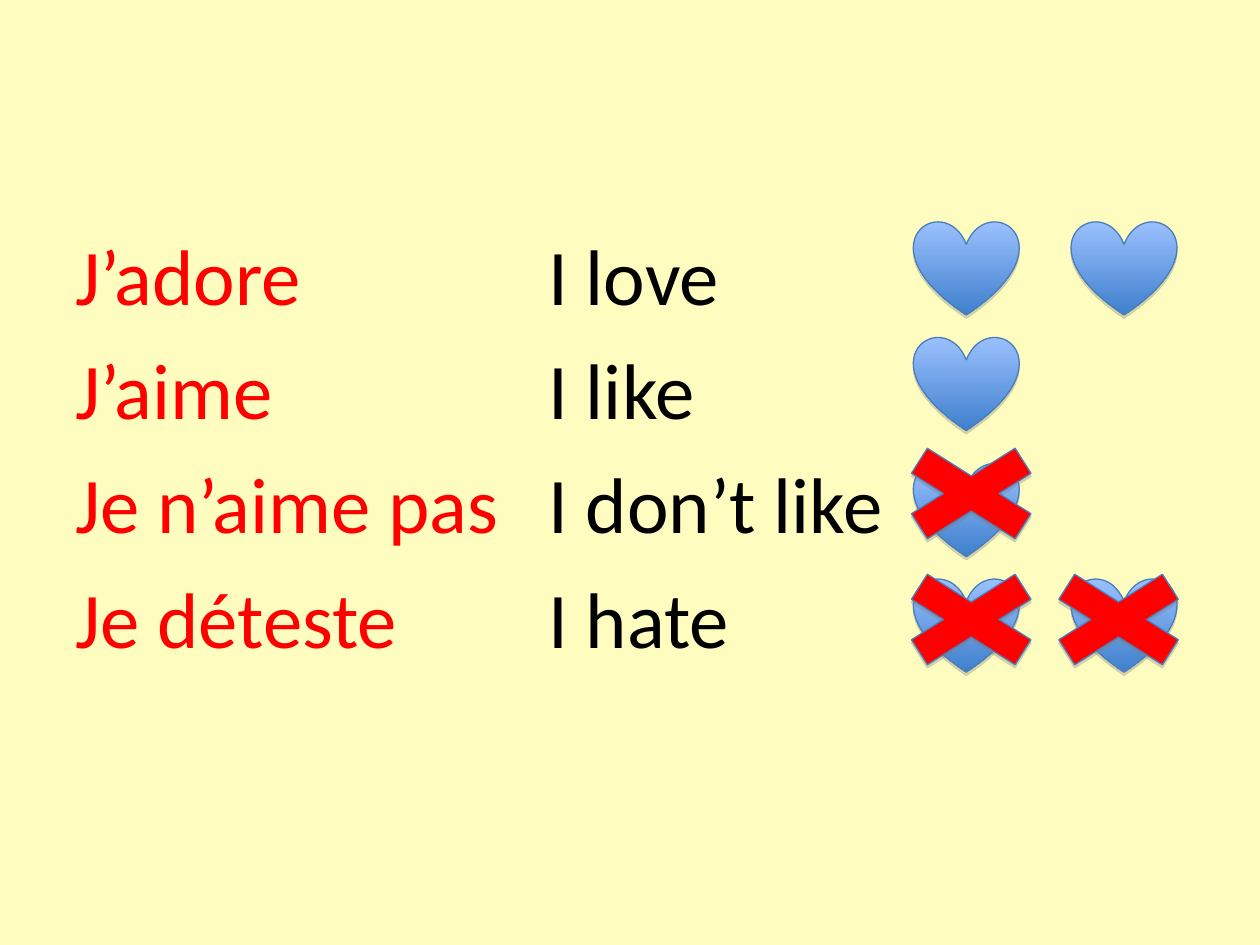
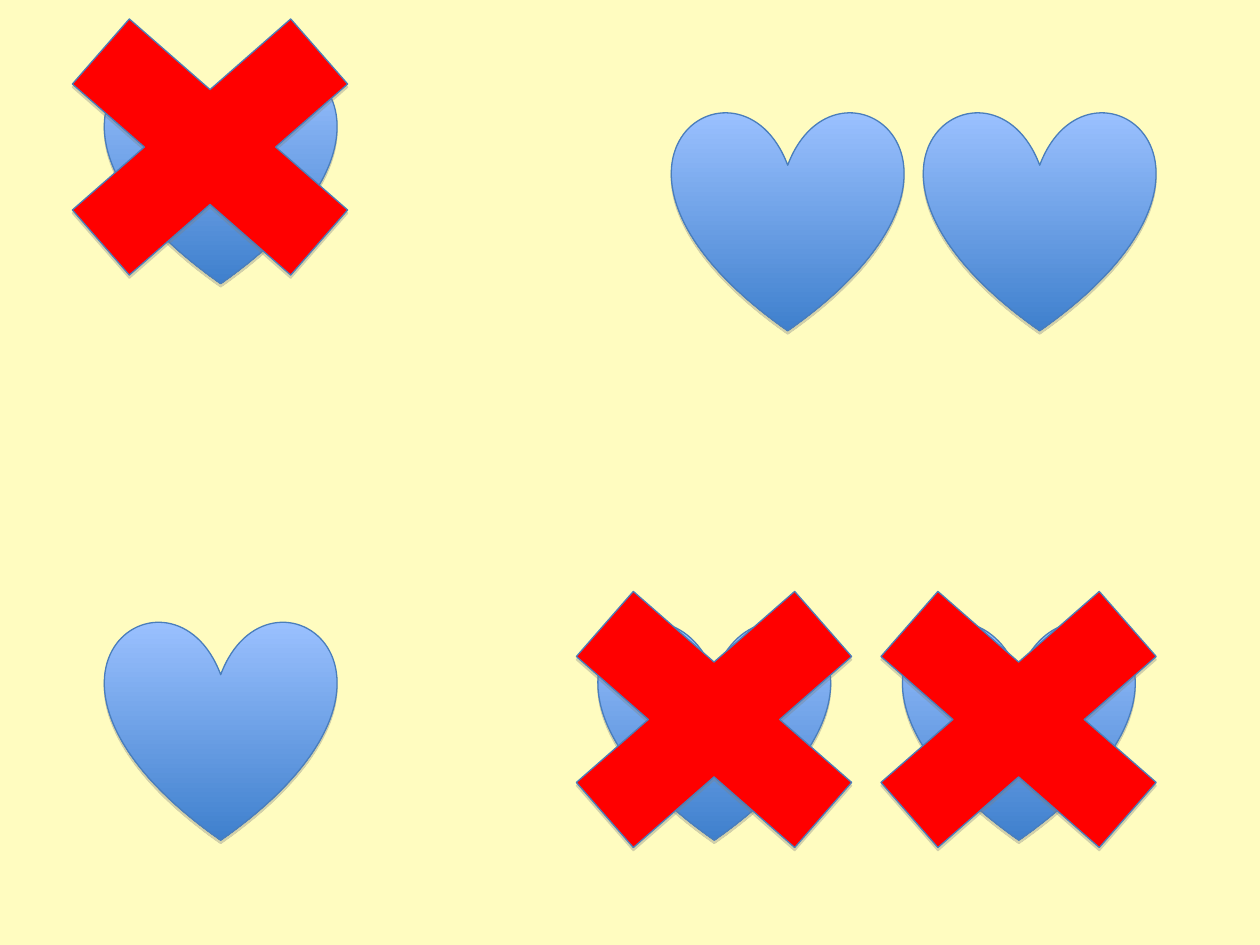
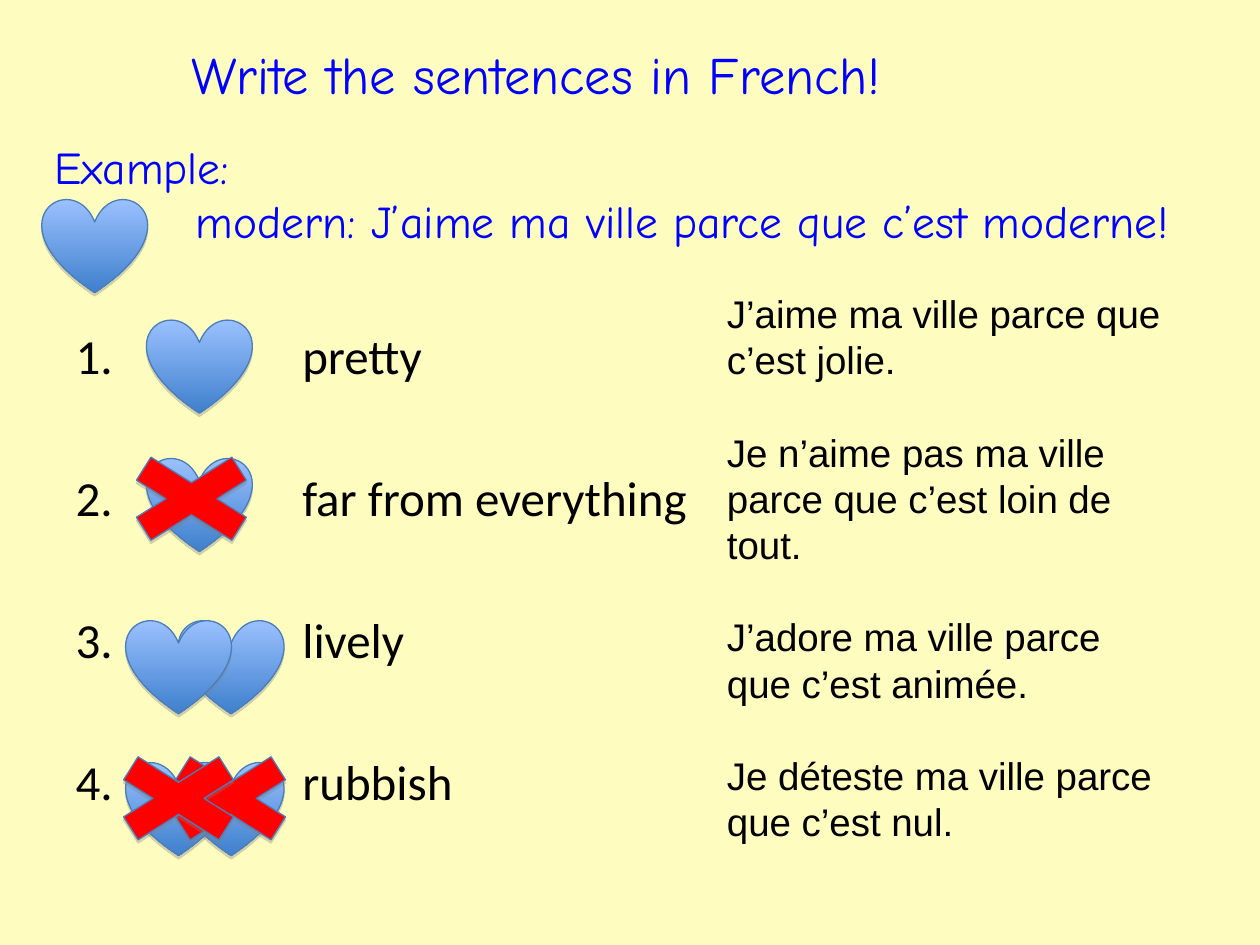
from dataclasses import dataclass

from lxml import etree
from pptx import Presentation
from pptx.dml.color import RGBColor
from pptx.enum.shapes import MSO_SHAPE
from pptx.enum.text import MSO_ANCHOR, MSO_AUTO_SIZE, PP_ALIGN
from pptx.oxml.ns import qn
from pptx.util import Cm, Pt

HEART = MSO_SHAPE.HEART
CROSS = MSO_SHAPE.MATH_MULTIPLY
TOP = MSO_ANCHOR.TOP
NO_AUTOFIT = MSO_AUTO_SIZE.NONE
LEFT = PP_ALIGN.LEFT
TWO_CONTENT, BLANK = 3, 6


@dataclass(frozen=True)
class Style:
    font: str
    size: float
    color: str


@dataclass(frozen=True)
class Theme:
    background: str = "FFFCC0"
    heart_top: str = "9BC1FF"
    heart_bottom: str = "3F80CD"
    cross: str = "FF0000"
    outline: str = "4A7EBB"
    shadow: str = "808080"
    leading: float = 1.2
    french: Style = Style("Calibri", 45, "FF0000")
    english: Style = Style("Calibri", 45, "000000")
    heading: Style = Style("Comic Neue", 30, "0000FF")
    example: Style = Style("Comic Neue", 26, "0000FF")
    prompt: Style = Style("Calibri", 28, "000000")
    answer: Style = Style("Arial", 22, "000000")


THEME = Theme()


def rgb(color):
    return RGBColor.from_string(color)


def write(shape, box, lines, style, gap=0, hanging=None):
    """Fill a text shape; a hanging indent in cm makes a numbered list."""
    shape.left, shape.top, shape.width, shape.height = (Cm(v) for v in box)
    frame = shape.text_frame
    frame.text = "\n".join(lines)
    frame.word_wrap = True
    frame.auto_size = NO_AUTOFIT
    frame.vertical_anchor = TOP
    for index, paragraph in enumerate(frame.paragraphs):
        props = paragraph._p.get_or_add_pPr()
        indent = Cm(hanging or 0)
        props.set("marL", str(indent))
        props.set("indent", str(-indent))
        if hanging:
            etree.SubElement(props, qn("a:buFont"), typeface=style.font)
            etree.SubElement(props, qn("a:buAutoNum"), type="arabicPeriod")
        else:
            etree.SubElement(props, qn("a:buNone"))
        paragraph.alignment = LEFT
        paragraph.line_spacing = Pt(style.size * THEME.leading)
        paragraph.space_before = Pt(gap if index else 0)
        for run in paragraph.runs:
            run.font.name = style.font
            run.font.size = Pt(style.size)
            run.font.color.rgb = rgb(style.color)


def add_symbol(shapes, kind, left, top, size):
    symbol = shapes.add_shape(kind, Cm(left), Cm(top), *(Cm(v) for v in size))
    if kind == HEART:
        symbol.fill.gradient()
        symbol.fill.gradient_angle = 270
        for stop, color in zip(symbol.fill.gradient_stops,
                               (THEME.heart_top, THEME.heart_bottom)):
            stop.color.rgb = rgb(color)
    else:
        symbol.fill.solid()
        symbol.fill.fore_color.rgb = rgb(THEME.cross)
    symbol.line.color.rgb = rgb(THEME.outline)
    symbol.line.width = Pt(0.75)
    symbol.shadow.inherit = False
    effects = symbol._element.spPr.find(qn("a:effectLst"))
    shadow = etree.SubElement(effects, qn("a:outerShdw"), dist=str(Pt(1.8)),
                              dir="5400000", rotWithShape="0")
    color = etree.SubElement(shadow, qn("a:srgbClr"), val=THEME.shadow)
    etree.SubElement(color, qn("a:alpha"), val="35000")


def add_feelings(shapes, origin, hearts, crosses, heart_size, cross_size):
    """Draw hearts, then the crosses over them, at offsets from origin."""
    for kind, offsets, size in ((HEART, hearts, heart_size),
                                (CROSS, crosses, cross_size)):
        for x, y in offsets:
            add_symbol(shapes, kind, origin[0] + x, origin[1] + y, size)


SMALL_HEART = (2.12, 1.9)
LARGE_HEART = (4.66, 4.45)
LARGE_CROSS = (8.47, 7.41)


def vocabulary_slide(prs):
    slide = prs.slides.add_slide(prs.slide_layouts[TWO_CONTENT])
    title, french, english = slide.placeholders
    title._element.getparent().remove(title._element)
    top = 4.45
    write(french, (1.27, top, 10.16, 12.57),
          ["J’adore", "J’aime", "Je n’aime pas", "Je déteste"], THEME.french, gap=11.2)
    write(english, (10.8, top, 7.62, 9.09),
          ["I love", "I like", "I don’t like", "I hate"], THEME.english, gap=11.2)
    love, like, dislike, hate = 0, 2.33, 4.87, 7.2
    second = 3.18
    add_feelings(slide.shapes, (18.42, top),
                 [(0, love), (second, love), (0, like), (0, dislike),
                  (0, hate), (second, hate)],
                 [(-0.85, 6.77), (2.12, 6.77), (-0.85, 4.23)],
                 SMALL_HEART, (4.02, 2.54))


def symbols_slide(prs):
    slide = prs.slides.add_slide(prs.slide_layouts[BLANK])
    dislike = ((2.12, 1.27), [(0, 0)], [(-2.12, -2.01)])
    hate = ((12.07, 12.49), [(0, 0), (6.14, 0)], [(-1.91, -1.69), (4.23, -1.69)])
    love = ((13.55, 2.22), [(0, 0), (5.08, 0)], [])
    for feeling in (dislike, hate, love):
        add_feelings(slide.shapes.add_group_shape().shapes, *feeling,
                     LARGE_HEART, LARGE_CROSS)
    add_symbol(slide.shapes, HEART, 2.12, 12.49, LARGE_HEART)


def add_example(slide, left, top):
    write(slide.shapes.add_textbox(0, 0, 0, 0), (left, top, 24.2, 2.46),
          ["Example:", "modern: J’aime ma ville parce que c’est moderne!"],
          THEME.example)
    sentence = slide.shapes[-1].text_frame.paragraphs[1]
    props = sentence._p.get_or_add_pPr()
    props.set("marL", str(Cm(2.85)))
    add_symbol(slide.shapes, HEART, left, top + 1.33, SMALL_HEART)


def exercise_slide(prs):
    slide = prs.slides.add_slide(prs.slide_layouts[TWO_CONTENT])
    title, prompts, answers = slide.placeholders
    write(title, (3.6, 0.71, 17.98, 1.52),
          ["Write the sentences in French!"], THEME.heading)
    list_top = 6.43
    write(prompts, (1.27, list_top, 13.13, 12.57),
          ["pretty", "far from everything", "lively", "rubbish"],
          THEME.prompt, gap=47.6, hanging=4.57)
    write(answers, (14.4, 5.72, 9.53, 11.43),
          ["J’aime ma ville parce que c’est jolie.",
           "Je n’aime pas ma ville parce que c’est loin de tout.",
           "J’adore ma ville parce que c’est animée.",
           "Je déteste ma ville parce que c’est nul."],
          THEME.answer, gap=THEME.answer.size * THEME.leading)
    pretty, far, lively, rubbish = 0, 2.79, 6.06, 8.92
    middle, second = 0.42, 1.06
    add_feelings(slide.shapes, (2.54, list_top),
                 [(middle, pretty), (middle, far), (second, lively), (0, lively),
                  (second, rubbish), (0, rubbish)],
                 [(0.26, 8.5), (-0.53, 2.46), (-0.79, 8.5)],
                 SMALL_HEART, (3.7, 2.33))
    add_example(slide, 0.85, 2.67)


def main():
    prs = Presentation()
    prs.slide_width, prs.slide_height = Cm(25.4), Cm(19.05)
    background = prs.slide_master.background.fill
    background.solid()
    background.fore_color.rgb = rgb(THEME.background)
    vocabulary_slide(prs)
    symbols_slide(prs)
    exercise_slide(prs)
    prs.save("out.pptx")


if __name__ == "__main__":
    main()
